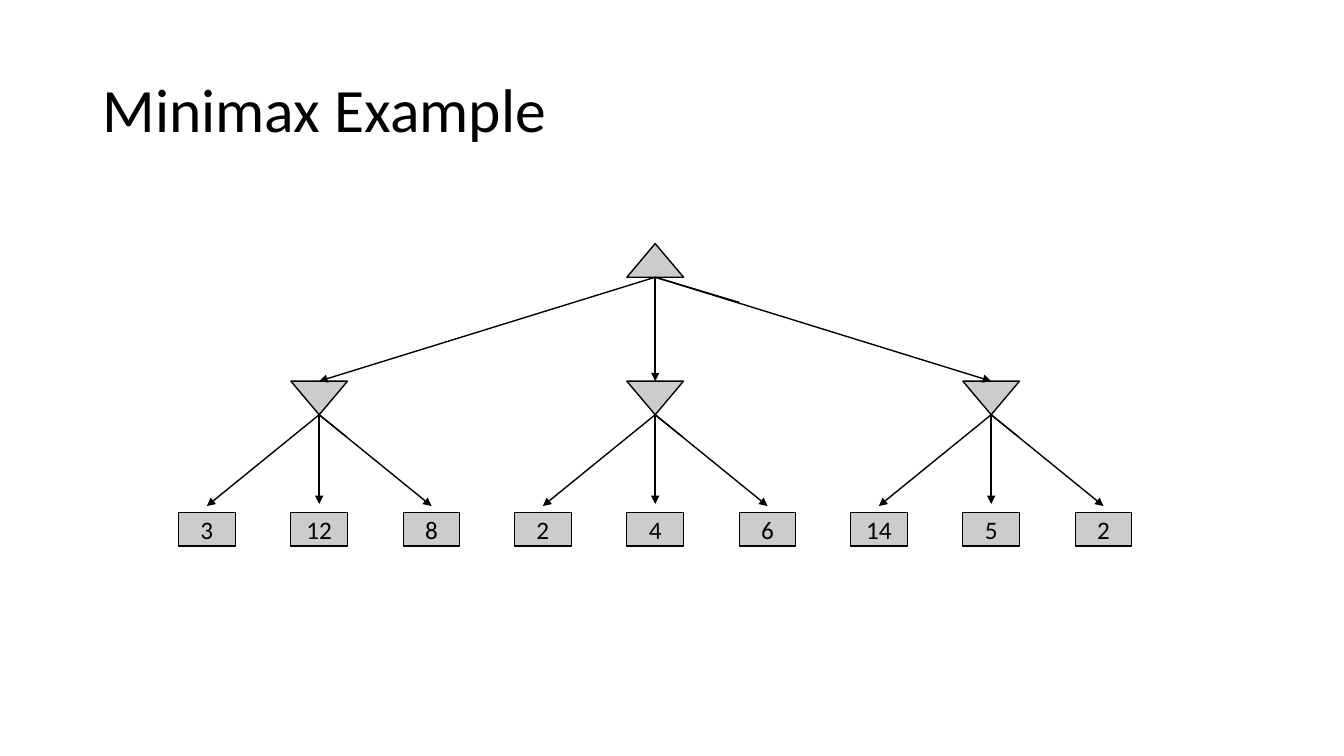
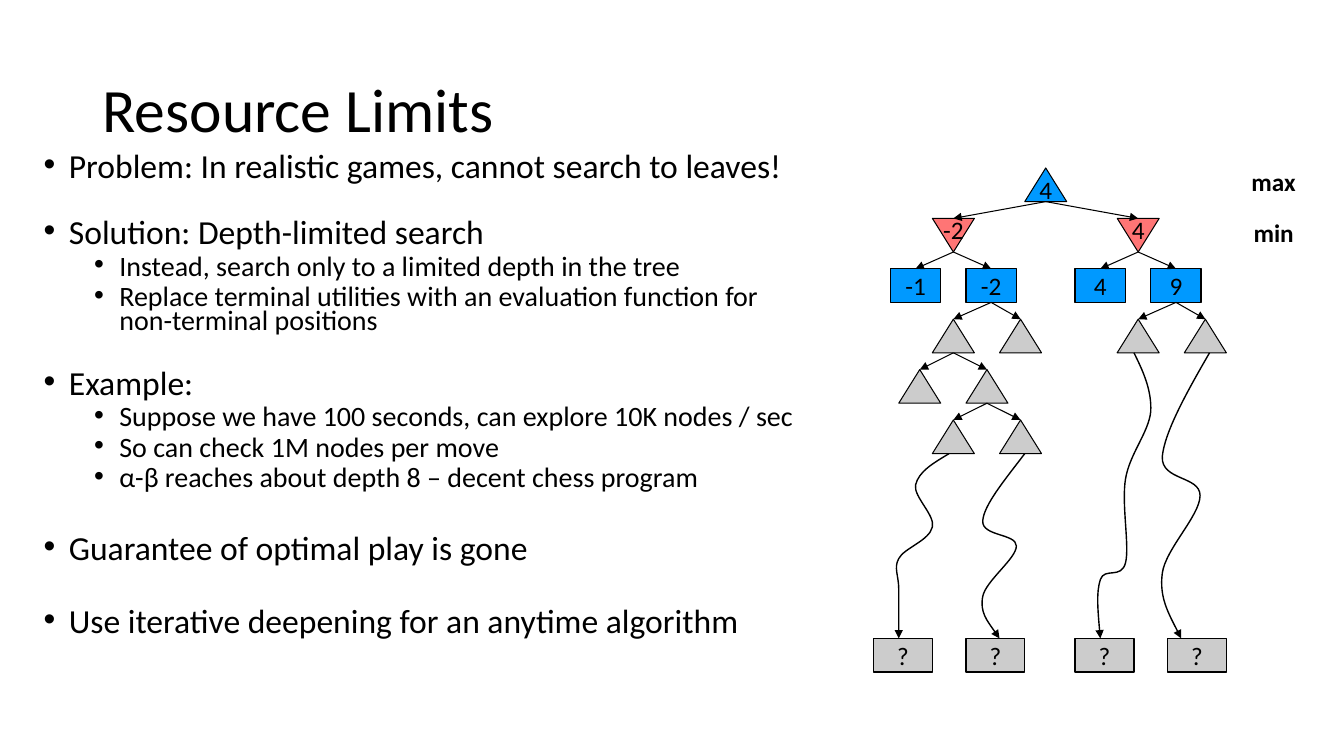
import pptx
import pptx.util
import pptx.dml.color
import pptx.enum.shapes
import pptx.enum.text
import pptx.oxml.ns
from lxml import etree

PX = 9525
FONT = "Calibri"
COLORS = {"ink": "000000", "grey": "CCCCCC", "blue": "0099FF", "red": "FF7575"}
SHAPE = pptx.enum.shapes.MSO_SHAPE
ALIGN = pptx.enum.text.PP_ALIGN
ANCHOR = pptx.enum.text.MSO_ANCHOR
qn = pptx.oxml.ns.qn

MINIMAX = [(304, ["3", "12", "8"]), (624, ["2", "4", "6"]), (944, ["14", "5", "2"])]
ROOT_X, ROOT_Y, MIN_Y, LEAF_Y = 624, 232, 363, 488
LEAF_STEP, LEAF_W, NODE_H = 107, 54, 32
ROOT_STUBS = [(0, 32), (80, 24)]
MIN_STUBS = [(0, 32), (26, 21)]

BULLETS = [
    (0, 0, "Problem: In realistic games, cannot search to leaves!"),
    (0, 27, "Solution: Depth-limited search"),
    (1, 5, "Instead, search only to a limited depth in the tree"),
    (1, 5, "Replace terminal utilities with an evaluation function for non-terminal positions"),
    (0, 27, "Example:"),
    (1, 5, "Suppose we have 100 seconds, can explore 10K nodes / sec"),
    (1, 5, "So can check 1M nodes per move"),
    (1, 5, "α-β reaches about depth 8 – decent chess program"),
    (0, 32, "Guarantee of optimal play is gone"),
    (0, 32, "Use iterative deepening for an anytime algorithm"),
]
BULLET_LEVELS = [{"size": 24, "margin": 24}, {"size": 20, "margin": 72}]

TREE_TOP, LEVEL_STEP = 160, 48
TREE = {
    "root": ("max", 996, 0, "4"),
    "min left": ("min", 908, 1, "-2"),
    "min right": ("min", 1084, 1, "4"),
    "value 1": ("value", 872, 2, "-1"),
    "value 2": ("value", 944, 2, "-2"),
    "value 3": ("value", 1048, 2, "4"),
    "value 4": ("value", 1120, 2, "9"),
    "a": ("open", 908, 3, ""),
    "b": ("open", 972, 3, ""),
    "c": ("open", 1084, 3, ""),
    "d": ("open", 1148, 3, ""),
    "e": ("open", 876, 4, ""),
    "f": ("open", 940, 4, ""),
    "g": ("open", 908, 5, ""),
    "h": ("open", 972, 5, ""),
}
KINDS = {
    "max": {"fill": "blue", "anchor": ANCHOR.BOTTOM, "top": 19},
    "min": {"fill": "red", "down": True, "top": 10},
    "value": {"fill": "blue", "kind": SHAPE.RECTANGLE, "width": 1},
    "open": {},
}
CHILDREN = {
    "root": ["min left", "min right"],
    "min left": ["value 1", "value 2"],
    "min right": ["value 3", "value 4"],
    "value 2": ["a", "b"],
    "value 4": ["c", "d"],
    "a": ["e", "f"],
    "f": ["g", "h"],
}
UNKNOWN_LEFTS, UNKNOWN_Y = [832, 920, 1024, 1112], 608
CURVES = [
    [(904, 432), (889, 441), (875, 449), (872, 462), (870, 473), (891, 491), (888, 502),
     (885, 515), (861, 522), (856, 532), (851, 541), (856, 548), (856, 561),
     (856, 574), (856, 591), (856, 608)],
    [(976, 432), (957, 457), (937, 481), (936, 496), (935, 511), (968, 508), (968, 520),
     (968, 532), (939, 553), (936, 568), (933, 583), (943, 595), (952, 608)],
    [(1152, 336), (1130, 374), (1109, 412), (1107, 435), (1106, 458), (1143, 453), (1143, 472),
     (1143, 491), (1110, 523), (1107, 546), (1104, 569), (1115, 588), (1125, 608)],
    [(1080, 336), (1089, 354), (1097, 372), (1096, 392), (1094, 412), (1076, 432), (1072, 456),
     (1068, 480), (1076, 520), (1072, 536), (1068, 552), (1052, 540), (1048, 552),
     (1044, 564), (1046, 586), (1048, 608)],
]
LABELS = [("max", 154), ("min", 202)]


def px(*values):
    return [pptx.util.Emu(v * PX) for v in values]


def rgb(name):
    return pptx.dml.color.RGBColor.from_string(COLORS[name])


def write(tf, text, size=18, bold=False, align=ALIGN.CENTER, spacing=None, before=0, margin=None):
    p = tf.paragraphs[0]
    if p.runs:
        p = tf.add_paragraph()
    if margin is not None:
        pPr = p._p.get_or_add_pPr()
        pPr.set("marL", str(margin * PX))
        pPr.set("indent", str(-24 * PX))
        etree.SubElement(pPr, qn("a:buFont")).set("typeface", "Arial")
        etree.SubElement(pPr, qn("a:buChar")).set("char", "•")
    p.alignment = align
    p.space_before = pptx.util.Pt(before)
    if spacing:
        p.line_spacing = spacing
    r = p.add_run()
    r.text = text
    r.font.name, r.font.size, r.font.bold = FONT, pptx.util.Pt(size), bold
    r.font.color.rgb = rgb("ink")
    return p


def place(sp, *box):
    sp.left, sp.top, sp.width, sp.height = px(*box)


def add_slide(prs, layout, title):
    slide = prs.slides.add_slide(prs.slide_layouts[layout])
    sp = slide.shapes.title
    place(sp, 88, 38, 1104, 139)
    sp.text_frame.vertical_anchor = ANCHOR.MIDDLE
    write(sp.text_frame, title, size=44, align=ALIGN.LEFT, spacing=0.9)
    return slide


def set_line(sp, width, arrow=False):
    sp.line.color.rgb = rgb("ink")
    sp.line.width = pptx.util.Pt(width)
    if arrow:
        ln = sp._element.spPr.find(qn("a:ln"))
        etree.SubElement(ln, qn("a:tailEnd")).set("type", "triangle")


def node(slide, cx, y, w, text="", kind=SHAPE.ISOSCELES_TRIANGLE, fill="grey", width=0.75,
         down=False, anchor=ANCHOR.MIDDLE, top=5):
    sp = slide.shapes.add_shape(kind, *px(cx - w // 2, y, w, NODE_H))
    sp.shadow.inherit = False
    sp.fill.solid()
    sp.fill.fore_color.rgb = rgb(fill)
    set_line(sp, width)
    tf = sp.text_frame
    if down:
        sp.rotation = 180
        tf._txBody.bodyPr.set("rot", "10800000")
    if text:
        tf.word_wrap = False
        tf.vertical_anchor = anchor
        tf.margin_top = px(top)[0]
        write(tf, text)
    return sp


def edge(slide, start, end, width=1, arrow=True, start_box=None, end_box=None):
    straight = pptx.enum.shapes.MSO_CONNECTOR.STRAIGHT
    cxn = slide.shapes.add_connector(straight, *px(*start, *end))
    if start_box is not None:
        cxn.begin_connect(start_box, 2)
    if end_box is not None:
        cxn.end_connect(end_box, 0)
    set_line(cxn, width, arrow)
    etree.SubElement(cxn._element.spPr, qn("a:effectLst"))


def curve(slide, points):
    builder = slide.shapes.build_freeform(*points[0], scale=PX)
    builder.add_line_segments(points[1:], close=False)
    sp = builder.convert_to_shape()
    sp.shadow.inherit = False
    sp.fill.background()
    set_line(sp, 1, arrow=True)
    outline = sp._element.xpath(".//a:path")[0]
    steps = outline.findall(qn("a:lnTo"))
    for i in range(0, len(steps), 3):
        bezier = etree.SubElement(outline, qn("a:cubicBezTo"))
        for step in steps[i:i + 3]:
            bezier.append(step[0])
            outline.remove(step)


def stubs(slide, x, y, offsets):
    for dx, dy in offsets:
        edge(slide, (x, y), (x + dx, y + dy), arrow=False)


def minimax_slide(prs):
    slide = add_slide(prs, 5, "Minimax Example")
    node(slide, ROOT_X, ROOT_Y, LEAF_W, width=1)
    root_bottom, min_bottom = ROOT_Y + NODE_H, MIN_Y + NODE_H
    stubs(slide, ROOT_X, root_bottom, ROOT_STUBS)
    for min_x, leaves in MINIMAX:
        node(slide, min_x, MIN_Y, LEAF_W, width=1, down=True)
        edge(slide, (ROOT_X, root_bottom), (min_x, MIN_Y))
        stubs(slide, min_x, min_bottom, MIN_STUBS)
        for i, value in enumerate(leaves):
            x = min_x + (i - 1) * LEAF_STEP
            node(slide, x, LEAF_Y, LEAF_W, value, kind=SHAPE.RECTANGLE)
            edge(slide, (min_x, min_bottom), (x, LEAF_Y - (8 if i == 1 else 6)))


def add_bullets(slide):
    body = slide.placeholders[1]
    place(body, 32, 144, 744, 475)
    tf = body.text_frame
    tf.auto_size = pptx.enum.text.MSO_AUTO_SIZE.NONE
    for level, before, text in BULLETS:
        p = write(tf, text, align=ALIGN.LEFT, spacing=0.7, before=before, **BULLET_LEVELS[level])
        p.level = level


def add_tree(slide):
    boxes = {}
    for name, (kind, x, level, text) in TREE.items():
        w = 48 if kind == "value" else 40
        sp = node(slide, x, TREE_TOP + level * LEVEL_STEP, w, text, **KINDS[kind])
        if kind == "value":
            boxes[name] = sp
    for parent, children in CHILDREN.items():
        _, x, level, _ = TREE[parent]
        start = (x, TREE_TOP + level * LEVEL_STEP + NODE_H)
        for child in children:
            _, child_x, child_level, _ = TREE[child]
            end = (child_x, TREE_TOP + child_level * LEVEL_STEP)
            edge(slide, start, end, width=0.75,
                 start_box=boxes.get(parent), end_box=boxes.get(child))


def limits_slide(prs):
    slide = add_slide(prs, 1, "Resource Limits")
    add_bullets(slide)
    add_tree(slide)
    for left in UNKNOWN_LEFTS:
        node(slide, left + 28, UNKNOWN_Y, 56, "?", kind=SHAPE.RECTANGLE, width=1)
    for points in CURVES:
        curve(slide, points)
    for text, y in LABELS:
        tf = slide.shapes.add_textbox(*px(1178, y, 70, 38)).text_frame
        tf.word_wrap = True
        tf.vertical_anchor = ANCHOR.MIDDLE
        write(tf, text, bold=True)


def main():
    prs = pptx.Presentation()
    prs.slide_width, prs.slide_height = px(1280, 720)
    minimax_slide(prs)
    limits_slide(prs)
    prs.save("out.pptx")


if __name__ == "__main__":
    main()
